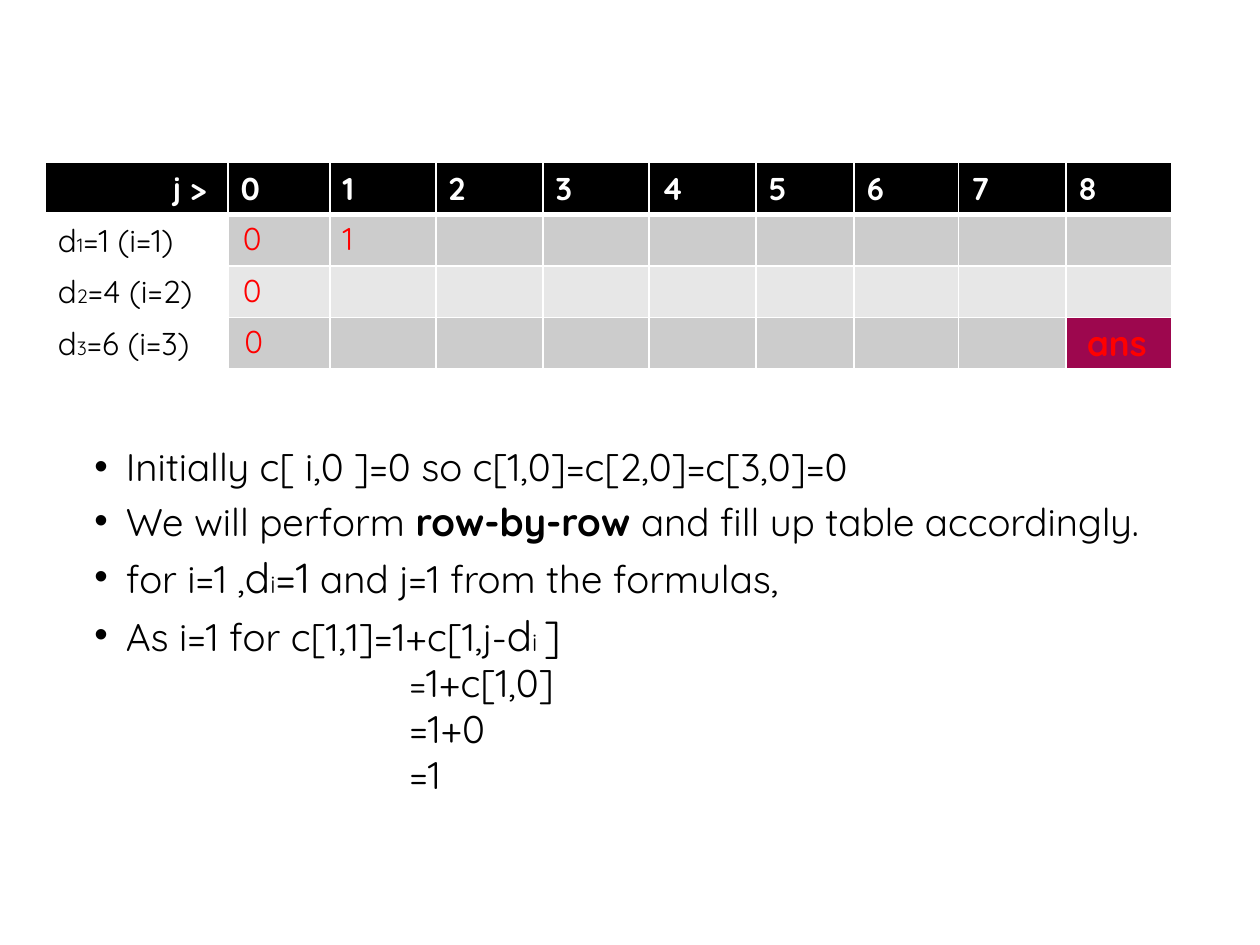
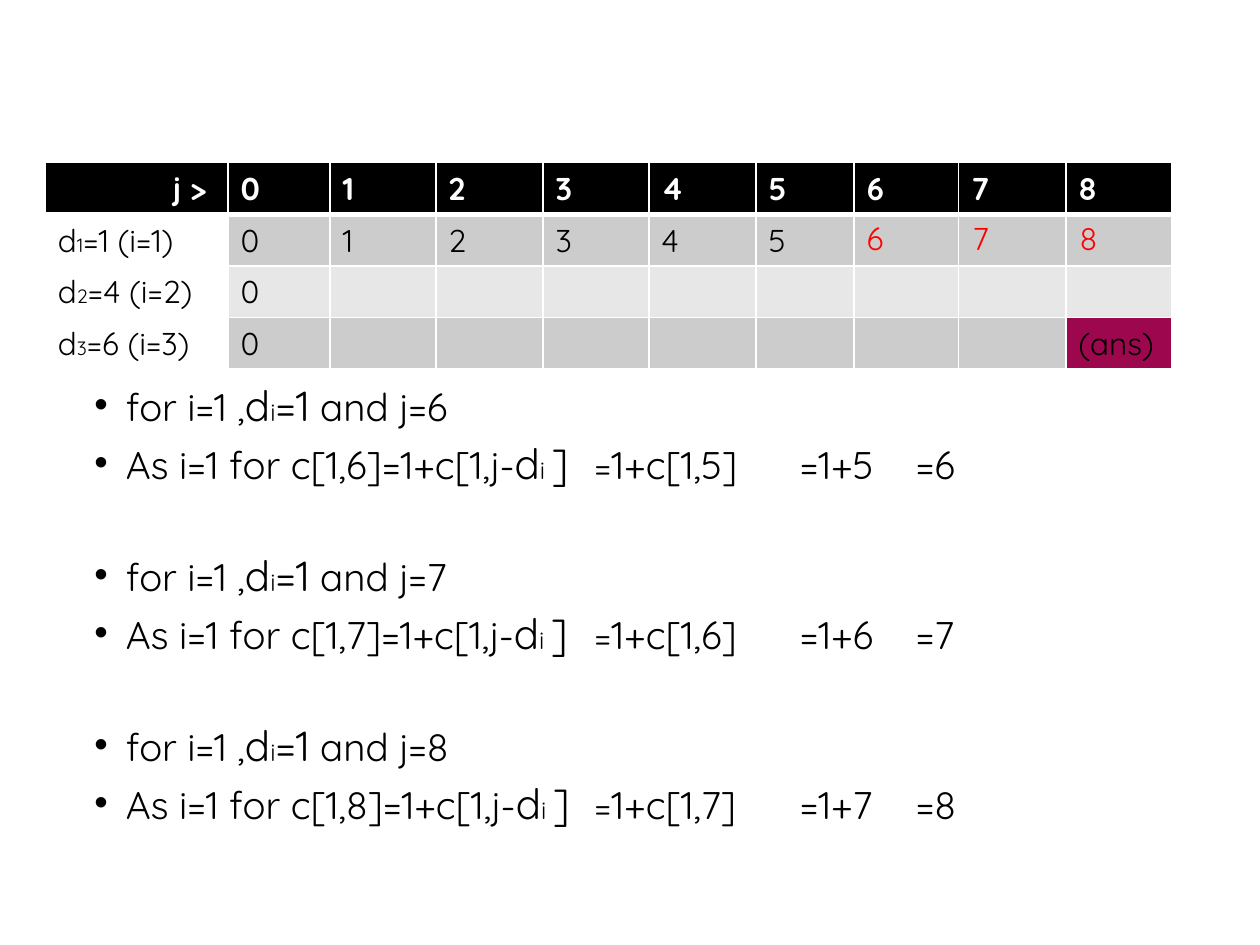
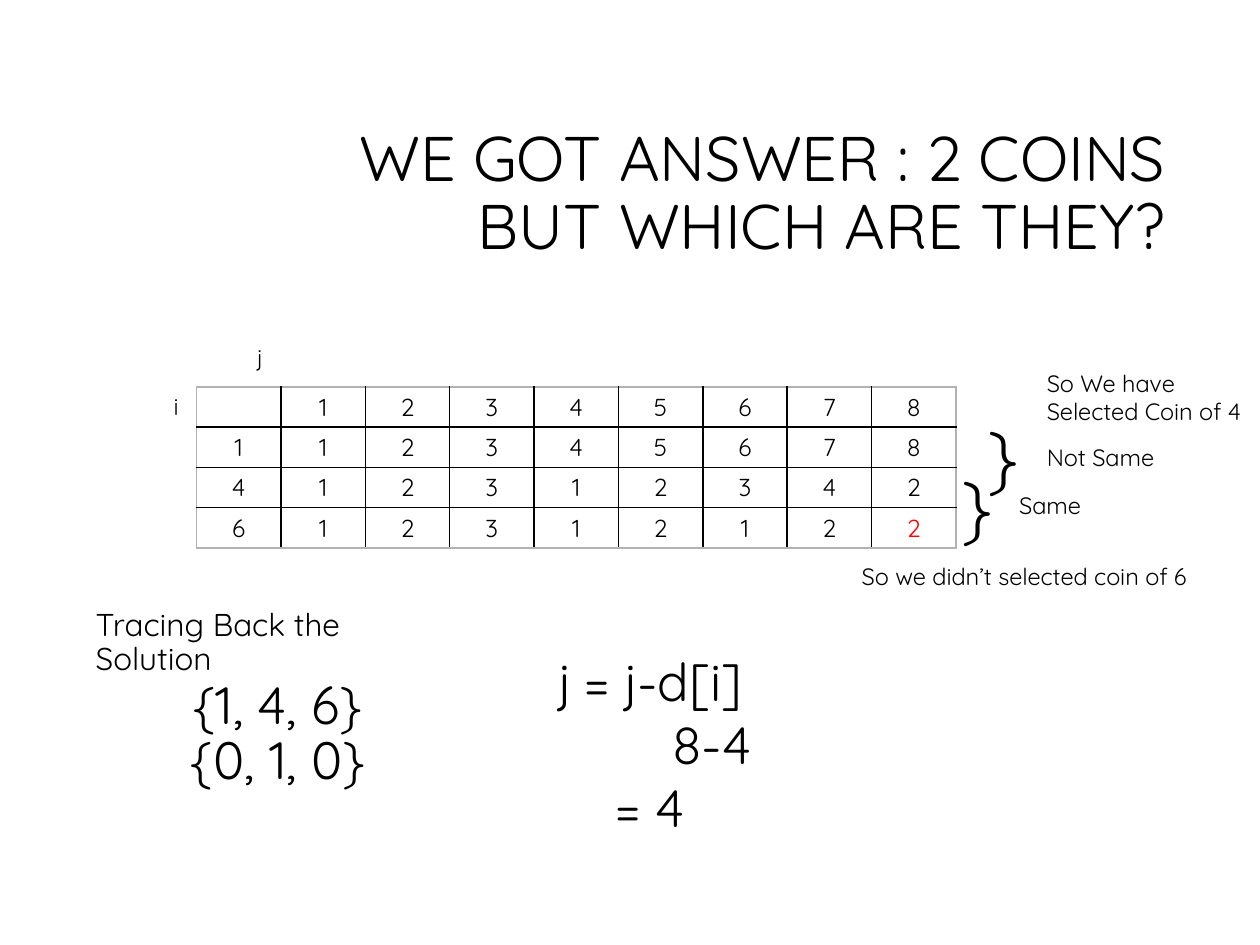
from lxml.etree import SubElement
from pptx import Presentation
from pptx.dml.color import RGBColor
from pptx.enum.text import MSO_ANCHOR, MSO_AUTO_SIZE, PP_ALIGN
from pptx.oxml.ns import qn
from pptx.util import Inches, Pt

BLACK = RGBColor(0x00, 0x00, 0x00)
WHITE = RGBColor(0xFF, 0xFF, 0xFF)
RED = RGBColor(0xFF, 0x00, 0x00)
WINE = RGBColor(0x9D, 0x07, 0x4E)
GREY = RGBColor(0xCC, 0xCC, 0xCC)
PALE = RGBColor(0xE7, 0xE7, 0xE7)
EDGE = RGBColor(0xB2, 0xB2, 0xB2)
FONT = "Quicksand"
COINS = (1, 4, 6)
TARGET = 8
GRID_COLUMNS = (1.45, 0.81, 0.84, 0.85, 0.84, 0.85, 0.78, 0.83, 0.85, 0.84)
STEP_TABS = (3.97, 5.6, 6.52)
TIGHT = dict(zip(("margin_left", "margin_top", "margin_right", "margin_bottom"),
                 map(Inches, (0.07, 0.04, 0.07, 0.04))))
CENTRED = {"alignment": PP_ALIGN.CENTER}
BULLETED = {"line_spacing": 0.8, "space_before": Pt(10)}
WORKING = {"line_spacing": 0.8, "space_before": Pt(5)}


def set_values(target, values):
    for name, value in values.items():
        setattr(target, name, value)


def add_spans(para, spans, color=BLACK, bold=False):
    for text, size, *strong in spans:
        span = para.add_run()
        span.text = text
        set_values(span.font, {"name": FONT, "size": Pt(size), "bold": bold or bool(strong)})
        span.font.color.rgb = color


def add_box(page, at, paragraphs, color=BLACK, bold=False, frame=None, layout=None):
    box = page.shapes.add_textbox(*map(Inches, at))
    set_values(box.text_frame, {"word_wrap": True, **(frame or {})})
    for number, spans in enumerate(paragraphs):
        para = box.text_frame.paragraphs[0] if number == 0 else box.text_frame.add_paragraph()
        add_spans(para, spans, color, bold)
        set_values(para, layout or {})
    return box


def add_label(page, at, lines, size, frame=None, layout=None):
    fit = {"word_wrap": False, "auto_size": MSO_AUTO_SIZE.SHAPE_TO_FIT_TEXT}
    add_box(page, at, [[(line, size)] for line in lines], frame={**fit, **(frame or {})},
            layout=layout)


def indent(para, left, first=0.0, bullet=False, tabs=()):
    properties = para._p.get_or_add_pPr()
    properties.set("marL", str(Inches(left)))
    properties.set("indent", str(Inches(first)))
    if bullet:
        SubElement(properties, qn("a:buFont")).set("typeface", "Arial")
        SubElement(properties, qn("a:buChar")).set("char", "•")
    else:
        SubElement(properties, qn("a:buNone"))
    if tabs:
        stops = SubElement(properties, qn("a:tabLst"))
        for position in tabs:
            stop = SubElement(stops, qn("a:tab"))
            stop.set("pos", str(Inches(position)))
            stop.set("algn", "l")


def add_bullets(page, at, paragraphs, tabs=()):
    box = add_box(page, at, paragraphs, layout=BULLETED)
    for para in box.text_frame.paragraphs:
        indent(para, 0.25, -0.25, True, tabs)
    box.text_frame.paragraphs[0].space_before = Pt(0)
    return box


def set_borders(cell, **sides):
    properties = cell._tc.get_or_add_tcPr()
    for number, side in enumerate("LRTB"):
        color, width = sides[side]
        line = SubElement(properties, qn(f"a:ln{side}"))
        line.set("w", str(Pt(width)))
        SubElement(SubElement(line, qn("a:solidFill")), qn("a:srgbClr")).set("val", str(color))
        properties.insert(number, line)


def add_table(page, left, top, widths, heights):
    frame = page.shapes.add_table(len(heights), len(widths), Inches(left), Inches(top),
                                  Inches(sum(widths)), Inches(sum(heights)))
    for column, width in zip(frame.table.columns, widths):
        column.width = Inches(width)
    for row, height in zip(frame.table.rows, heights):
        row.height = Inches(height)
    return frame.table


def fill_cell(cell, color):
    cell.fill.solid()
    cell.fill.fore_color.rgb = color


def add_coin_grid(page, known, answer=""):
    table = add_table(page, 0.36, 1.29, GRID_COLUMNS, [0.41] * 4)
    for column, text in enumerate(["j >", *map(str, range(TARGET + 1))]):
        cell = table.cell(0, column)
        add_spans(cell.text_frame.paragraphs[0], [(text, 18)], WHITE, True)
        fill_cell(cell, BLACK)
    corner = table.cell(0, 0)
    corner.margin_right = Inches(0.17)
    corner.text_frame.paragraphs[0].alignment = PP_ALIGN.RIGHT
    for row, (coin, values) in enumerate(zip(COINS, known), 1):
        label = [("d", 18), (str(row), 11), (f"={coin} (i={row})", 18)]
        add_spans(table.cell(row, 0).text_frame.paragraphs[0], label)
        for column in range(TARGET + 2):
            fill_cell(table.cell(row, column),
                      WHITE if column == 0 else GREY if row % 2 else PALE)
        for column, value in enumerate(values, 1):
            add_spans(table.cell(row, column).text_frame.paragraphs[0], [(str(value), 18)])
    last = table.cell(len(COINS), TARGET + 1)
    fill_cell(last, WINE)
    if answer:
        add_spans(last.text_frame.paragraphs[0], [(answer, 18)])
    for row in range(len(COINS) + 1):
        for column in range(TARGET + 2):
            thin = (WHITE, 1)
            set_borders(table.cell(row, column), L=thin, R=thin,
                        T=(WHITE, 3) if row == 1 else thin,
                        B=(WHITE, 3) if row == 0 else thin)


def add_red_value(page, left, top, text):
    add_box(page, (left, top, 0.28, 0.4), [[(text, 18)]], RED)


def coin_premise(ending):
    return [("for i=1 ,", 22), ("d", 24), ("i", 14), ("=1", 24), (ending, 22)]


def coin_formula(amount):
    return [(f"As i=1 for c[1,{amount}]=1+c[1,j-", 22), ("d", 24), ("i ", 14), ("]", 24)]


def build_first_cell(page):
    box = add_bullets(page, (0.65, 3.54, 8.7, 3.32), [
        [("Initially c[ i,0 ]=0 so c[1,0]=c[2,0]=c[3,0]=0", 22)],
        [("We will perform ", 22), ("row-by-row ", 22, True),
         ("and fill up table accordingly.", 22)],
        coin_premise(" and j=1 from the formulas,"),
        coin_formula(1),
    ])
    for spans in ([("=", 20), ("1+c[1,0]", 22)], [("=1+0", 22)], [("=1", 22)]):
        para = box.text_frame.add_paragraph()
        indent(para, 2.5)
        add_spans(para, spans)
        set_values(para, WORKING)
    add_coin_grid(page, [[], [], []])
    add_red_value(page, 2.62, 1.69, "1")
    add_box(page, (8.53, 2.5, 0.71, 0.44), [[("ans", 20)]], RED, True)
    for left, top in ((1.83, 2.1), (1.84, 2.51), (1.83, 1.69)):
        add_red_value(page, left, top, "0")


def build_first_row(page):
    amounts = (6, 7, 8)
    paragraphs = []
    for amount in amounts:
        before = amount - 1
        steps = [("\t", 22), ("=", 20), (f"1+c[1,{before}]\t=1+{before}\t={amount}", 22)]
        paragraphs += [coin_premise(f" and j={amount}"), coin_formula(amount) + steps]
    box = add_bullets(page, (0.65, 3.04, 8.7, 3.82), paragraphs, STEP_TABS)
    for para in box.text_frame.paragraphs[2::2]:
        para.space_before = Pt(41)
    add_coin_grid(page, [range(6), [0], [0]], "(ans)")
    for left, amount in zip((6.78, 7.62, 8.47), amounts):
        add_red_value(page, left, 1.69, str(amount))


def add_solution_table(page):
    rows = (("", *range(1, 9)), (1, *range(1, 9)),
            (4, 1, 2, 3, 1, 2, 3, 4, 2), (6, 1, 2, 3, 1, 2, 1, 2, 2))
    table = add_table(page, 1.56, 3.07, [0.67] * 9, [0.32] * 4)
    last_row, last_column = len(rows) - 1, len(rows[0]) - 1
    for row, values in enumerate(rows):
        for column, value in enumerate(values):
            cell = table.cell(row, column)
            set_values(cell, TIGHT)
            cell.fill.background()
            para = cell.text_frame.paragraphs[0]
            para.alignment = PP_ALIGN.CENTER
            if value == "":
                SubElement(para._p, qn("a:endParaRPr")).set("sz", "1400")
            else:
                chosen = (row, column) == (last_row, last_column)
                add_spans(para, [(str(value), 14)], RED if chosen else BLACK)
            outer = {"L": column == 0, "R": column == last_column,
                     "T": row == 0, "B": row == last_row}
            set_borders(cell, **{side: (EDGE if edge else BLACK, 1)
                                 for side, edge in outer.items()})


def build_trace_back(page):
    add_solution_table(page)
    add_box(page, (2.38, 0.84, 6.97, 1.41),
            [[("WE GOT ANSWER : 2 COINS BUT WHICH ARE THEY?", 36)]],
            frame={"vertical_anchor": MSO_ANCHOR.MIDDLE},
            layout={"alignment": PP_ALIGN.RIGHT, "line_spacing": 0.9})
    add_box(page, (0.69, 4.56, 2.9, 1.09), [[("Tracing Back the Solution", 18)]],
            frame={"vertical_anchor": MSO_ANCHOR.MIDDLE, **TIGHT}, layout={"line_spacing": 0.9})
    for at, lines in (
        ((1.28, 3.06, 0.24, 0.33), ["i"]),
        ((1.94, 2.67, 0.24, 0.33), ["j"]),
        ((7.99, 3.85, 0.73, 0.33), ["Same"]),
        ((6.74, 4.41, 3.05, 0.33), ["So we didn’t selected coin of 6"]),
        ((8.21, 3.47, 1.11, 0.33), ["Not Same"]),
        ((8.21, 2.88, 1.9, 0.56), ["So We have", "Selected Coin of 4"]),
    ):
        add_label(page, at, lines, 13.5)
    for left, top in ((7.56, 3.62), (7.77, 3.23)):
        add_label(page, (left, top, 0.35, 0.76), ["}"], 40.5, TIGHT, CENTRED)
    for top, text in ((5.73, "{0, 1, 0}"), (5.29, "{1, 4, 6}")):
        add_label(page, (1.4, top, 1.61, 0.58), [text], 30, TIGHT, CENTRED)
    sums = add_box(page, (4.17, 5.11, 1.98, 1.09),
                   [[(line, 30)] for line in ("j = j-d[i]", "8-4", "= 4")],
                   frame=TIGHT, layout=CENTRED)
    indent(sums.text_frame.paragraphs[1], 0.98)


def main():
    deck = Presentation()
    deck.slide_width, deck.slide_height = Inches(10), Inches(7.5)
    for build in (build_first_cell, build_first_row, build_trace_back):
        build(deck.slides.add_slide(deck.slide_layouts[6]))
    deck.save("out.pptx")


if __name__ == "__main__":
    main()
